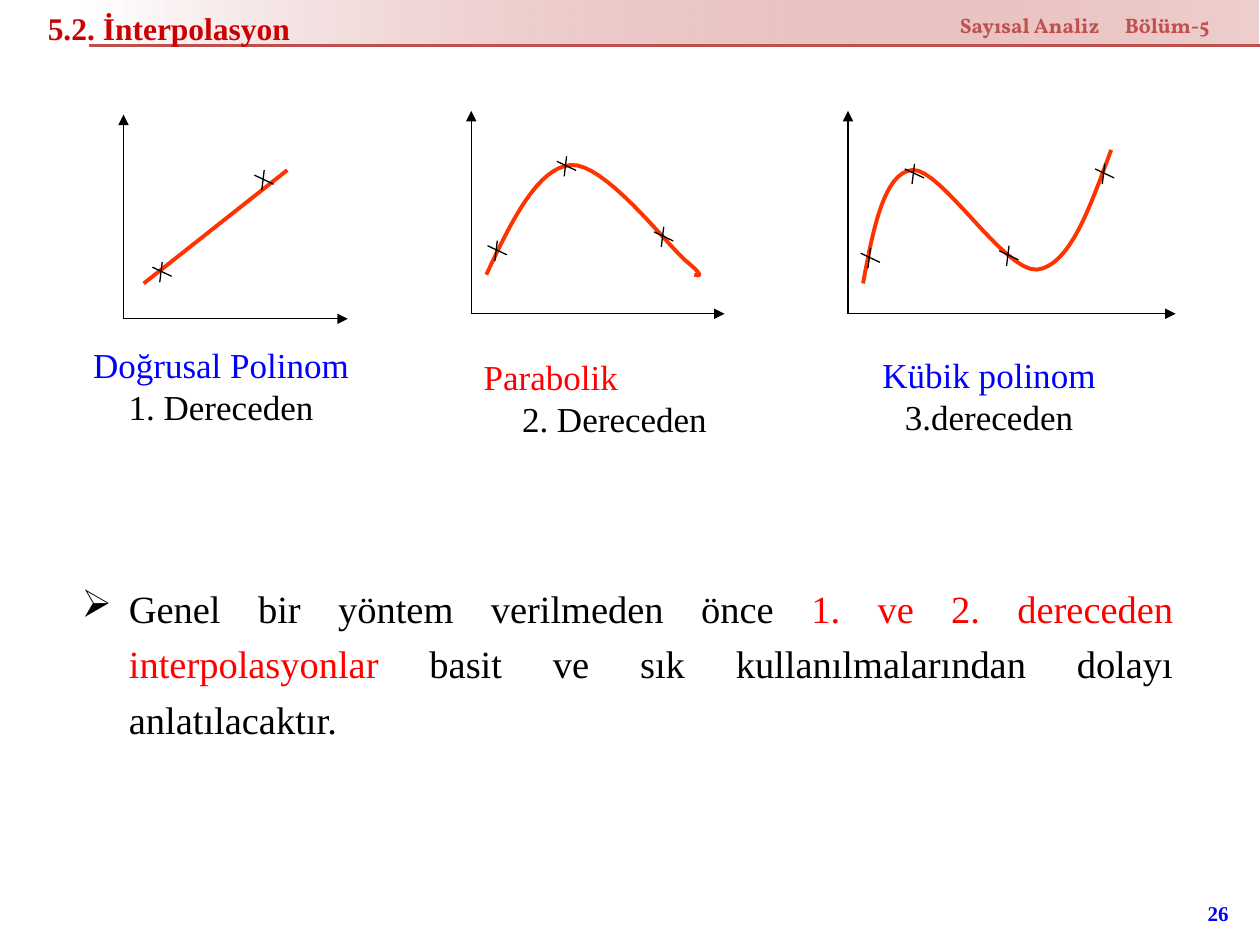
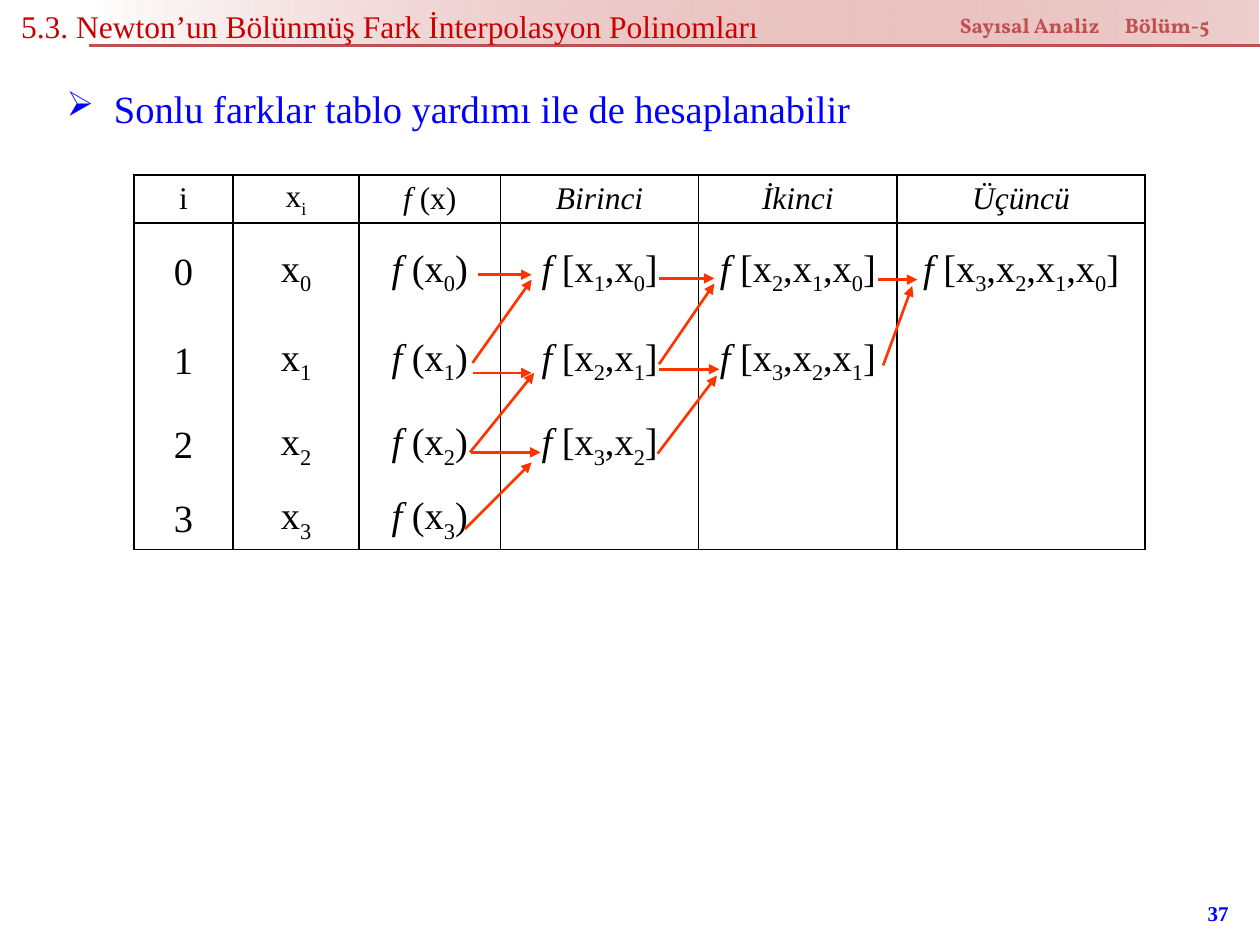
"""Build two lecture slides on interpolation: polynomial sketches and a divided-difference table."""
from lxml import etree
from pptx import Presentation
from pptx.dml.color import RGBColor
from pptx.enum.shapes import MSO_CONNECTOR, MSO_SHAPE
from pptx.enum.text import MSO_ANCHOR, PP_ALIGN
from pptx.oxml.ns import qn
from pptx.util import Pt

LEFT, RIGHT, CENTER, JUSTIFY = PP_ALIGN.LEFT, PP_ALIGN.RIGHT, PP_ALIGN.CENTER, PP_ALIGN.JUSTIFY
MIDDLE = MSO_ANCHOR.MIDDLE
STRAIGHT, RECTANGLE = MSO_CONNECTOR.STRAIGHT, MSO_SHAPE.RECTANGLE
BODY_FONT, HEADER_FONT = "Times New Roman", "Vollkorn"
BLACK, WHITE, BLUE, RED = "000000", "FFFFFF", "0000FF", "FF0000"
TITLE_RED, ACCENT, CURVE = "CC0000", "C0504D", "FF3300"

HEADER = "Sayısal Analiz\tBölüm-5"
SKETCH_SLIDE = {"title": "5.2. İnterpolasyon", "box": (20.2, 2.2, 154, 26.6), "bold": True, "number": "26"}
TABLE_SLIDE = {"title": "5.3. Newton’un Bölünmüş Fark İnterpolasyon Polinomları",
               "box": (5, 0.7, 440, 26.6), "bold": False, "number": "37"}

AXES = [(70.6, 182.2, 198.7, 65.5), (269.3, 179.3, 414, 63.4), (484.6, 179.3, 671.8, 63.4)]
LINEAR = (164.2, 97.2, 82.1, 162)
PARABOLA = [(277.9, 157), (292.3, 126), (307.4, 95.8), (326.2, 94.3), (344.9, 92.9),
            (379.4, 137.5), (391, 148.3), (403.2, 158.4), (399.6, 157.7), (396.7, 157)]
CUBIC = [(493.2, 162), (499, 130.3), (505.4, 98.6), (521.3, 97.2), (537.8, 95.8),
         (573.8, 155.5), (592.6, 154.1), (611.3, 151.9), (622.8, 118.8), (635, 85.7)]
CROSSES = [(87.1, 149.8), (145.4, 97.2), (278.6, 137.5), (318.2, 89.3), (373.7, 129.6),
           (491.8, 141.8), (517, 93.6), (571, 140.4), (625.7, 93.6)]
CROSS_STROKES = [(5.6, 0, 4.2, 11.5), (0, 2.9, 11, 8.1)]
CAPTIONS = [
    ((39.6, 190.8, 173.5, 71.3), "Doğrusal Polinom", BLUE, "1. Dereceden", (CENTER, CENTER)),
    ((269.3, 197.3, 141.8, 71.3), "Parabolik", RED, "2. Dereceden", (LEFT, RIGHT)),
    ((481.7, 196.6, 167, 55.4), "Kübik polinom", BLUE, "3.dereceden", (CENTER, CENTER)),
]
SUMMARY = [("Genel bir yöntem verilmeden önce ", BLACK),
           ("1. ve 2. dereceden interpolasyonlar", RED),
           (" basit ve sık kullanılmalarından dolayı anlatılacaktır.", BLACK)]

TABLE_INTRO = "Sonlu farklar tablo yardımı ile de hesaplanabilir"
DIFFERENCES = [
    ["i", "x_i", "f (x)", "Birinci", "İkinci", "Üçüncü"],
    ["0", "x_0", "f (x_0)", "f [x_1,x_0]", "f [x_2,x_1,x_0]", "f [x_3,x_2,x_1,x_0]"],
    ["1", "x_1", "f (x_1)", "f [x_2,x_1]", "f [x_3,x_2,x_1]", ""],
    ["2", "x_2", "f (x_2)", "f [x_3,x_2]", "", ""],
    ["3", "x_3", "f (x_3)", "", "", ""],
]
COL_WIDTHS = [56.7, 72, 80.8, 113.3, 113.3, 141.9]
ROW_HEIGHTS = [27, 56.2, 45.4, 51.1, 33.8]
TABLE_AT = (76.5, 100.1)
ARROWS = [
    (272.9, 157, 303.8, 157), (270, 207.4, 303.8, 159.8), (268.6, 258.5, 305.3, 213.1),
    (269.3, 258.5, 308.9, 258.5), (265.7, 302.4, 303.8, 264.2), (270, 213.1, 303.8, 213.1),
    (376.6, 159.1, 408.2, 159.1), (376.6, 208.1, 408.2, 162), (375.8, 259.2, 409.7, 214.6),
    (376.6, 211, 411.1, 211), (501.8, 159.8, 524.2, 159.8), (504.7, 208.8, 521.3, 163.4),
]


def rgb(hex_code):
    return RGBColor.from_string(hex_code)


def child(parent, tag, **attrs):
    return etree.SubElement(parent, qn(tag), {k: str(v) for k, v in attrs.items()})


def add_run(p, text, size, color, font=BODY_FONT, bold=False, italic=False):
    r = p.add_run()
    r.text = text
    r.font.name, r.font.size, r.font.bold, r.font.italic = font, Pt(size), bold, italic
    r.font.color.rgb = rgb(color)
    return r


def add_text(s, box, paragraphs, size, aligns=(LEFT,), spacing=None, top=5.6, wrap=True, **style):
    tf = s.shapes.add_textbox(*map(Pt, box)).text_frame
    tf.word_wrap, tf.margin_top = wrap, Pt(top)
    for i, (runs, align) in enumerate(zip(paragraphs, aligns)):
        p = tf.add_paragraph() if i else tf.paragraphs[0]
        p.alignment = align
        if spacing:
            p.line_spacing = spacing
        for text, color in runs:
            add_run(p, text, size, color, **style)
    return tf


def add_bullet(p, percent):
    pPr = p._p.get_or_add_pPr()
    pPr.set("marL", str(Pt(27)))
    pPr.set("indent", str(-Pt(27)))
    child(pPr, "a:buSzPct", val=percent * 1000)
    child(pPr, "a:buChar", char="➢")


def add_line(shapes, ends, color, width, arrow=False):
    c = shapes.add_connector(STRAIGHT, *map(Pt, ends))
    c.line.color.rgb, c.line.width = rgb(color), Pt(width)
    if arrow:
        child(c.line._get_or_add_ln(), "a:tailEnd", type="triangle")
    child(c._element.spPr, "a:effectLst")


def add_curve(s, controls, steps=16):
    points = []
    for k in range(0, len(controls) - 1, 3):
        a, b, c, d = controls[k:k + 4]
        for t in (n / steps for n in range(1, steps + 1)):
            u = 1 - t
            points.append([Pt(u**3 * a[i] + 3 * u * u * t * b[i] + 3 * u * t * t * c[i] + t**3 * d[i])
                           for i in (0, 1)])
    builder = s.shapes.build_freeform(*map(Pt, controls[0]))
    builder.add_line_segments(points, close=False)
    sp = builder.convert_to_shape()
    sp.shadow.inherit = False
    sp.fill.background()
    sp.line.color.rgb, sp.line.width = rgb(CURVE), Pt(2.25)


def add_frame(prs, page):
    s = prs.slides.add_slide(prs.slide_layouts[6])
    tf = add_text(s, (677.5, 507.6, 31.7, 28.8), [[(page["number"], BLUE)]], 12, (RIGHT,), top=3.6, bold=True)
    tf.vertical_anchor = MIDDLE
    band = s.shapes.add_shape(RECTANGLE, *map(Pt, (47.5, 0, 671.8, 25.9)))
    band.shadow.inherit = False
    band.line.fill.background()
    band.fill.gradient()
    band.fill.gradient_angle = 0
    for stop, color in zip(band.fill.gradient_stops, (WHITE, ACCENT)):
        stop.color.rgb = rgb(color)
    fade = list(band._element.spPr.iter(qn("a:srgbClr")))[-1]
    child(fade, "a:alpha", val=27000)
    add_line(s.shapes, (51.1, 25.9, 720, 25.9), ACCENT, 1.5)
    tf = add_text(s, (541.4, 6.5, 170, 19.4), [[(HEADER, ACCENT)]], 12, spacing=0.8, top=3.6,
                  font=HEADER_FONT, bold=True)
    tabs = child(tf.paragraphs[0]._p.get_or_add_pPr(), "a:tabLst")
    child(tabs, "a:tab", pos=Pt(94.3), algn="l")
    add_text(s, page["box"], [[(page["title"], TITLE_RED)]], 18, spacing=0.9, wrap=False, bold=page["bold"])
    return s


def build_sketches(prs):
    s = add_frame(prs, SKETCH_SLIDE)
    add_line(s.shapes, LINEAR, CURVE, 2.25)
    add_curve(s, PARABOLA)
    add_curve(s, CUBIC)
    for x, y, x_end, y_end in AXES:
        add_line(s.shapes, (x, y, x, y_end), BLACK, 0.75, arrow=True)
        add_line(s.shapes, (x, y, x_end, y), BLACK, 0.75, arrow=True)
    for x, y in CROSSES:
        cross = s.shapes.add_group_shape()
        for x1, y1, x2, y2 in CROSS_STROKES:
            add_line(cross.shapes, (x + x1, y + y1, x + x2, y + y2), BLACK, 0.75)
    for box, name, color, degree, aligns in CAPTIONS:
        add_text(s, box, [[(name, color)], [(degree, BLACK)]], 20, aligns)
    tf = add_text(s, (39.6, 323.3, 637.9, 92.2), [SUMMARY], 22, (JUSTIFY,), spacing=1.2)
    add_bullet(tf.paragraphs[0], 100)


def add_formula(p, text, size, italic):
    if text.startswith("f "):
        add_run(p, "f ", size, BLACK, italic=True)
        text = text[2:]
    first, *rest = text.split("_")
    add_run(p, first, size, BLACK, italic=italic)
    for part in rest:
        r = add_run(p, part[0], size, BLACK)
        r._r.get_or_add_rPr().set("baseline", "-25000")
        if part[1:]:
            add_run(p, part[1:], size, BLACK)


def set_borders(cell, edges):
    tcPr = cell._tc.get_or_add_tcPr()
    for i, edge in enumerate("LRTB"):
        ln = child(tcPr, f"a:ln{edge}", w=Pt(1))
        if edge in edges:
            child(child(ln, "a:solidFill"), "a:srgbClr", val=BLACK)
        else:
            child(ln, "a:noFill")
        tcPr.insert(i, ln)


def build_table(prs):
    s = add_frame(prs, TABLE_SLIDE)
    size = (sum(COL_WIDTHS), sum(ROW_HEIGHTS))
    table = s.shapes.add_table(len(ROW_HEIGHTS), len(COL_WIDTHS), *map(Pt, TABLE_AT + size)).table
    table.first_row = table.horz_banding = False
    for col, width in zip(table.columns, COL_WIDTHS):
        col.width = Pt(width)
    last = len(DIFFERENCES) - 1
    for i, (row, height) in enumerate(zip(DIFFERENCES, ROW_HEIGHTS)):
        table.rows[i].height = Pt(height)
        edges = "LR" + ("T" if i < 2 else "") + ("B" if i in (0, last) else "")
        for j, text in enumerate(row):
            cell = table.cell(i, j)
            cell.margin_left = cell.margin_right = cell.margin_top = cell.margin_bottom = Pt(1.44)
            cell.vertical_anchor = MIDDLE
            cell.fill.background()
            set_borders(cell, edges)
            p = cell.text_frame.paragraphs[0]
            p.alignment = CENTER
            if text:
                add_formula(p, text, 22 if i else 18, italic=i == 0 and j > 2)
    tf = add_text(s, (31, 43.2, 569.5, 33.8), [[(TABLE_INTRO, BLUE)]], 22, (JUSTIFY,))
    add_bullet(tf.paragraphs[0], 90)
    for ends in ARROWS:
        add_line(s.shapes, ends, CURVE, 1.5, arrow=True)


def main():
    prs = Presentation()
    prs.slide_width, prs.slide_height = Pt(720), Pt(540)
    build_sketches(prs)
    build_table(prs)
    prs.save("out.pptx")


if __name__ == "__main__":
    main()
